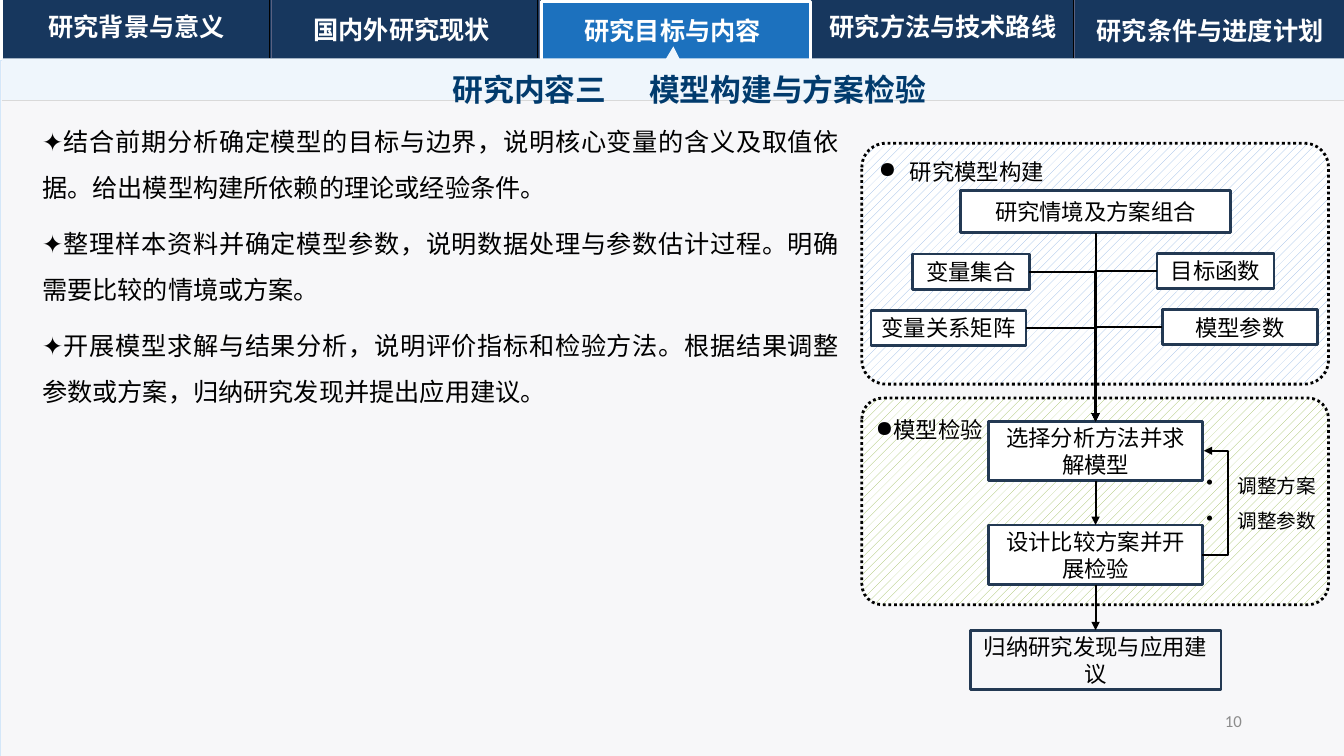
import pptx
import pptx.util
from lxml import etree
from pptx.dml.color import RGBColor
from pptx.enum.dml import MSO_LINE, MSO_PATTERN
from pptx.enum.shapes import MSO_CONNECTOR, MSO_SHAPE
from pptx.enum.text import MSO_ANCHOR, PP_ALIGN
from pptx.oxml.ns import qn
from pptx.util import Cm, Pt

WHITE = RGBColor(0xFF, 0xFF, 0xFF)
BLACK = RGBColor(0, 0, 0)
NAVY = RGBColor(0x17, 0x37, 0x5E)
ACTIVE_BLUE = RGBColor(0x1C, 0x71, 0xBE)
PALE_BLUE = RGBColor(0xEF, 0xF6, 0xFC)
PAGE = RGBColor(0xF7, 0xF7, 0xF9)
PAGE_EDGE = RGBColor(0xD4, 0xE7, 0xF9)
RULE = RGBColor(0xD9, 0xD9, 0xD9)
DIVIDER = RGBColor(0x59, 0x61, 0x81)
TITLE = RGBColor(0x01, 0x3B, 0x6D)
BOX_EDGE = RGBColor(0x23, 0x39, 0x53)
GREEN = RGBColor(0x9B, 0xBB, 0x59)
SKY = RGBColor(0x8E, 0xB4, 0xE3)
GREY = RGBColor(0x8C, 0x8C, 0x8C)
CJK, LATIN = "Noto Sans CJK SC", "Calibri"

# Lengths below are centimetres.
WIDTH, HEIGHT, NAV_H = 33.87, 19.05, 1.52
TABS = [  # label, left, top
    ("研究背景与意义", 0.08, 0.15),
    ("国内外研究现状", 6.76, 0.23),
    ("研究目标与内容", 13.59, 0.25),
    ("研究方法与技术路线", 20.4, 0.15),
    ("研究条件与进度计划", 27.13, 0.25),
]
BANNER = [(16.97, 1.17), (17.12, 1.47), (33.91, 1.47), (33.91, 2.54),
          (0.05, 2.54), (0.05, 1.47), (16.79, 1.47)]
HEADING = ("研究内容三", "模型构建与方案检验")
POINTS = [
    "✦结合前期分析确定模型的目标与边界，说明核心变量的含义及取值依据。给出模型构建所依赖的理论或经验条件。",
    "✦整理样本资料并确定模型参数，说明数据处理与参数估计过程。明确需要比较的情境或方案。",
    "✦开展模型求解与结果分析，说明评价指标和检验方法。根据结果调整参数或方案，归纳研究发现并提出应用建议。",
]
PANELS = [(10.03, 5.21, GREEN), (3.61, 6.07, SKY)]  # top, height, hatch
AXIS = 27.61
STEPS = [  # label, top, width, height, filled
    ("研究情境及方案组合", 4.8, 6.81, 1.07, True),
    ("选择分析方法并求解模型", 10.62, 5.38, 1.5, True),
    ("设计比较方案并开展检验", 13.23, 5.38, 1.5, True),
    ("归纳研究发现与应用建议", 15.88, 6.32, 1.5, False),
]
INPUTS = [  # label, left, top, width
    ("目标函数", 29.16, 6.38, 2.95),
    ("变量集合", 22.99, 6.4, 2.95),
    ("变量关系矩阵", 21.95, 7.82, 3.91),
    ("模型参数", 29.29, 7.8, 3.91),
]
INPUT_H = 0.89
NOTES = [  # lines, bullet, size, text indent, hanging, box
    (["调整方案", "调整参数"], "•", 14, 0.79, 0.79, (30.15, 11.51, 3.68, 1.91)),
    (["研究模型构建"], "●", 16, 1.57, 0.79, (21.11, 3.51, 7.72, 1.17)),
    (["模型检验"], "●", 16, 1.5, 0.3, (20.62, 10.03, 4.57, 1.17)),
]

deck = pptx.Presentation()
deck.slide_width, deck.slide_height = Cm(WIDTH), Cm(HEIGHT)
slide = deck.slides.add_slide(deck.slide_layouts[6])
shapes = slide.shapes


def add_run(paragraph, text, size, color, font=CJK, bold=False):
    run = paragraph.add_run()
    run.text = text
    run.font.size, run.font.bold, run.font.name = Pt(size), bold, font
    run.font.color.rgb = color
    return run


def style(shape, fill=None, edge=None, weight=1):
    shape.shadow.inherit = False
    if fill is None:
        shape.fill.background()
    else:
        shape.fill.solid()
        shape.fill.fore_color.rgb = fill
    if edge is None:
        shape.line.fill.background()
    else:
        shape.line.color.rgb = edge
        shape.line.width = Pt(weight)
    return shape


def add_rect(x, y, w, h, fill=None, edge=None, weight=1):
    rect = shapes.add_shape(MSO_SHAPE.RECTANGLE, Cm(x), Cm(y), Cm(w), Cm(h))
    return style(rect, fill, edge, weight)


def add_text(x, y, w, h, anchor=MSO_ANCHOR.TOP):
    frame = shapes.add_textbox(Cm(x), Cm(y), Cm(w), Cm(h)).text_frame
    frame.word_wrap = True
    frame.vertical_anchor = anchor
    return frame


def paragraphs(frame, count):
    return [frame.paragraphs[0]] + [frame.add_paragraph() for _ in range(count - 1)]


def add_line(x1, y1, x2, y2, color=BLACK, weight=1.5, arrow=False,
             kind=MSO_CONNECTOR.STRAIGHT):
    line = shapes.add_connector(kind, Cm(x1), Cm(y1), Cm(x2), Cm(y2))
    line.line.color.rgb = color
    line.line.width = Pt(weight)
    if arrow:
        etree.SubElement(line.line._get_or_add_ln(), qn("a:tailEnd"), type="triangle")
    etree.SubElement(line._element.spPr, qn("a:effectLst"))
    return line


def add_box(label, x, y, w, h, filled=True):
    box = add_rect(x, y, w, h, WHITE if filled else None, BOX_EDGE, 2)
    box.text_frame.word_wrap = True
    box.text_frame.vertical_anchor = MSO_ANCHOR.MIDDLE
    paragraph = box.text_frame.paragraphs[0]
    paragraph.alignment = PP_ALIGN.CENTER
    add_run(paragraph, label, 16, BLACK, LATIN)
    return box


# Navigation bar and page
add_rect(0.08, 0, WIDTH, NAV_H, NAVY)
add_rect(0, NAV_H, WIDTH, HEIGHT - NAV_H, PAGE, PAGE_EDGE, 0.5)
for i in range(4):
    x = 6.8 + 6.75 * i
    add_line(x, -0.05, x, 1.47, BLACK, 0.5)
    add_line(x + 0.04, -0.05, x + 0.04, 1.47, DIVIDER, 0.75)
add_rect(13.64, 0.03, 6.78, NAV_H, ACTIVE_BLUE, WHITE, 2)
outline = [(Cm(x), Cm(y)) for x, y in BANNER]
banner = shapes.build_freeform(*outline[0], scale=1.0)
banner.add_line_segments(outline[1:], close=True)
style(banner.convert_to_shape(), PALE_BLUE)
add_line(0.05, 2.54, 33.91, 2.54, RULE, 0.5)
for label, x, y in TABS:
    tab = add_text(x, y, 6.73, 1.04, MSO_ANCHOR.MIDDLE).paragraphs[0]
    tab.alignment = PP_ALIGN.CENTER
    add_run(tab, label, 18, WHITE, bold=True)

# Heading and points
heading = add_text(0.58, 1.19, 33.58, 1.5).paragraphs[0]
heading.alignment, heading.line_spacing = PP_ALIGN.CENTER, 1.5
add_run(heading, HEADING[0], 22, TITLE, bold=True)
gap = add_run(heading, "　", 22, TITLE, bold=True)
gap.font._element.set("spc", "860")
add_run(heading, HEADING[1], 22, TITLE, bold=True)
body = add_text(0.81, 2.69, 20.6, 15.7)
for paragraph, point in zip(paragraphs(body, len(POINTS)), POINTS):
    paragraph.alignment = PP_ALIGN.JUSTIFY
    paragraph.line_spacing, paragraph.space_after = 1.5, Pt(8)
    add_run(paragraph, point, 18, BLACK)

# Flow diagram
for y, h, hatch in PANELS:
    panel = shapes.add_shape(MSO_SHAPE.ROUNDED_RECTANGLE, Cm(21.72), Cm(y), Cm(11.76), Cm(h))
    style(panel, edge=BLACK, weight=2)
    panel.adjustments[0] = 0.1
    panel.line.dash_style = MSO_LINE.ROUND_DOT
    panel.fill.patterned()
    panel.fill.pattern = MSO_PATTERN.PERCENT_20
    panel.fill.fore_color.rgb, panel.fill.back_color.rgb = hatch, WHITE
steps = [add_box(label, AXIS - w / 2, y, w, h, filled) for label, y, w, h, filled in STEPS]
for upper, lower in zip(steps, steps[1:]):
    arrow = add_line(0, 0, 0, 1, arrow=True)
    arrow.begin_connect(upper, 2)
    arrow.end_connect(lower, 0)
for label, x, y, w in INPUTS:
    source = add_box(label, x, y, w, INPUT_H)
    on_left = x < AXIS
    link = add_line(x + w if on_left else x, y + INPUT_H / 2, AXIS, STEPS[1][1],
                    arrow=True, kind=MSO_CONNECTOR.ELBOW)
    link._element.spPr.find(qn("a:prstGeom")).set("prst", "bentConnector2")
    link.begin_connect(source, 3 if on_left else 1)
    link.end_connect(steps[1], 0)

# The feedback arrow bends 0.64 cm outside the boxes it joins.
right = AXIS + STEPS[1][2] / 2
feedback = add_line(right, 13.99, right + 0.04, 11.36, arrow=True, kind=MSO_CONNECTOR.ELBOW)
bend = feedback._element.spPr.find(qn("a:prstGeom")).get_or_add_avLst()
etree.SubElement(bend, qn("a:gd"), name="adj1", fmla="val 1600000")

for lines, bullet, size, indent, hanging, box in NOTES:
    for paragraph, line in zip(paragraphs(add_text(*box), len(lines)), lines):
        props = paragraph._p.get_or_add_pPr()
        props.set("marL", str(Cm(indent)))
        props.set("indent", str(-Cm(hanging)))
        etree.SubElement(props, qn("a:buChar"), char=bullet)
        paragraph.line_spacing = 1.5
        add_run(paragraph, line, size, BLACK)

number = add_text(23.93, 17.65, 7.62, 1.02, MSO_ANCHOR.MIDDLE).paragraphs[0]
number.alignment = PP_ALIGN.RIGHT
add_run(number, "10", 12, GREY, LATIN)
deck.save("out.pptx")
